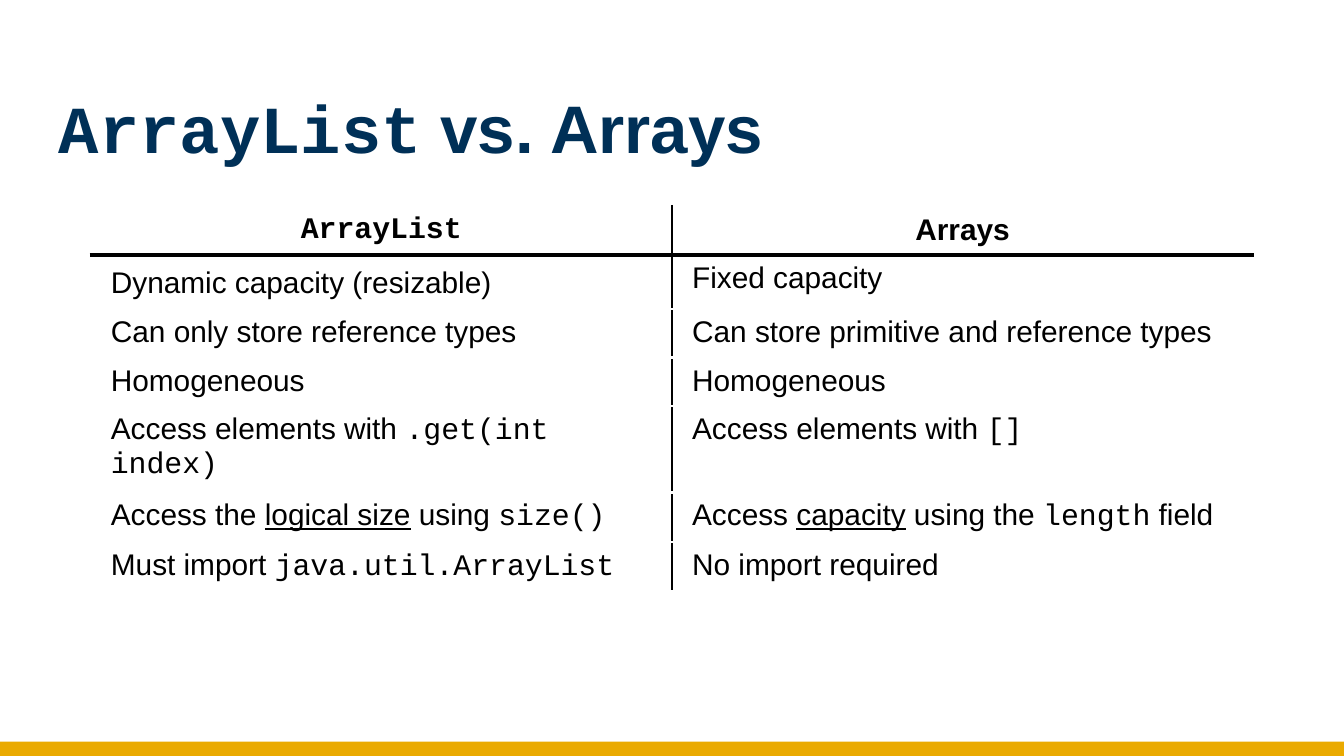
from lxml.etree import SubElement
from pptx import Presentation
from pptx.dml.color import RGBColor
from pptx.enum.shapes import MSO_SHAPE
from pptx.enum.text import MSO_ANCHOR, PP_ALIGN
from pptx.oxml.ns import qn
from pptx.util import Pt

HEX = {"navy": "003057", "gold": "EAAA00", "black": "000000", "white": "FFFFFF"}
FORMAT = {
    "text": {"name": "Arial"},
    "code": {"name": "Courier New"},
    "under": {"name": "Arial", "underline": True},
}
HEADS = [[("ArrayList", "code")], [("Arrays", "text")]]
ROWS = [
    [[("Dynamic capacity (resizable)", "text")], [("Fixed capacity", "text")]],
    [[("Can only store reference types", "text")],
     [("Can store primitive and reference types", "text")]],
    [[("Homogeneous", "text")], [("Homogeneous", "text")]],
    [[("Access elements with ", "text"), (".get(int index)", "code")],
     [("Access elements with ", "text"), ("[]", "code")]],
    [[("Access the ", "text"), ("logical size", "under"), (" using ", "text"),
      ("size()", "code")],
     [("Access ", "text"), ("capacity", "under"), (" using the ", "text"),
      ("length", "code"), (" field", "text")]],
    [[("Must import ", "text"), ("java.util.ArrayList", "code")],
     [("No import required", "text")]],
]
HEIGHTS = [26.5, 28.8, 26.1, 26.1, 46.1, 26.6, 26.6]


def set_all(item, values):
    for name, value in values.items():
        setattr(item, name, value)


def add_runs(para, parts, size, color, bold):
    for text, kind in parts:
        run = para.add_run()
        run.text = text
        set_all(run.font, {"size": Pt(size), "bold": bold, **FORMAT[kind]})
        run.font.color.rgb = RGBColor.from_string(HEX[color])


def add_edge(cell, side, color, width):
    props = cell._tc.get_or_add_tcPr()
    line = SubElement(props, qn(f"a:ln{side}"), w=str(int(Pt(width))))
    fill = SubElement(line, qn("a:solidFill"))
    SubElement(fill, qn("a:srgbClr"), val=HEX[color])


def add_title(slide, left, top, width, height):
    frame = slide.shapes.add_textbox(
        Pt(left), Pt(top), Pt(width), Pt(height)).text_frame
    set_all(frame, {
        "word_wrap": True, "vertical_anchor": MSO_ANCHOR.TOP,
        "margin_left": Pt(7.2), "margin_right": Pt(7.2),
        "margin_top": Pt(11), "margin_bottom": 0,
    })
    parts = [("ArrayList", "code"), (" vs. Arrays", "text")]
    add_runs(frame.paragraphs[0], parts, 36, "navy", True)


def fill_cell(cell, parts, row, col):
    head = row == 0
    para = cell.text_frame.paragraphs[0]
    add_runs(para, parts, 16, "black", head)
    if head:
        cell.vertical_anchor = MSO_ANCHOR.MIDDLE
        para.alignment = PP_ALIGN.CENTER
    else:
        set_all(cell, {"margin_left": Pt(10.8), "margin_right": Pt(10.8),
                       "margin_top": Pt(3.6), "margin_bottom": Pt(3.6)})
    # Only the middle line and the rule under the heads are black
    rule, plain = ("black", 2.21), ("white", 1.47)
    middle = ("black", 1.47)
    edges = {
        "L": middle if col == 1 else plain,
        "R": middle if col == 0 else plain,
        "T": ("white", 0.96) if head else rule if row == 1 else plain,
        "B": rule if head else plain,
    }
    for side, edge in edges.items():
        add_edge(cell, side, *edge)
    cell.fill.background()


def add_grid(slide, left, top, width, height):
    rows = [HEADS, *ROWS]
    table = slide.shapes.add_table(
        len(rows), 2, Pt(left), Pt(top), Pt(width), Pt(height)).table
    set_all(table, {"first_row": False, "horz_banding": False})
    for column in table.columns:
        column.width = Pt(width / 2)
    for row, (cells, tall) in enumerate(zip(rows, HEIGHTS)):
        table.rows[row].height = Pt(tall)
        for col, parts in enumerate(cells):
            fill_cell(table.cell(row, col), parts, row, col)
    table.cell(1, 0).text_frame.paragraphs[0].line_spacing = 1.14


def add_band(slide, left, top, width, height):
    band = slide.shapes.add_shape(
        MSO_SHAPE.RECTANGLE, Pt(left), Pt(top), Pt(width), Pt(height))
    band.shadow.inherit = False
    band.fill.solid()
    band.fill.fore_color.rgb = RGBColor.from_string(HEX["gold"])
    band.line.fill.background()


def main():
    deck = Presentation()
    set_all(deck, {"slide_width": Pt(720), "slide_height": Pt(405)})
    slide = deck.slides.add_slide(deck.slide_layouts[6])
    # Footer band, comparison table, title
    add_band(slide, 0, 397.4, 720, 7.6)
    add_grid(slide, 48.6, 110.2, 622.8, sum(HEIGHTS))
    add_title(slide, 24.5, 35.3, 671, 55.4)
    deck.save("out.pptx")


if __name__ == "__main__":
    main()
